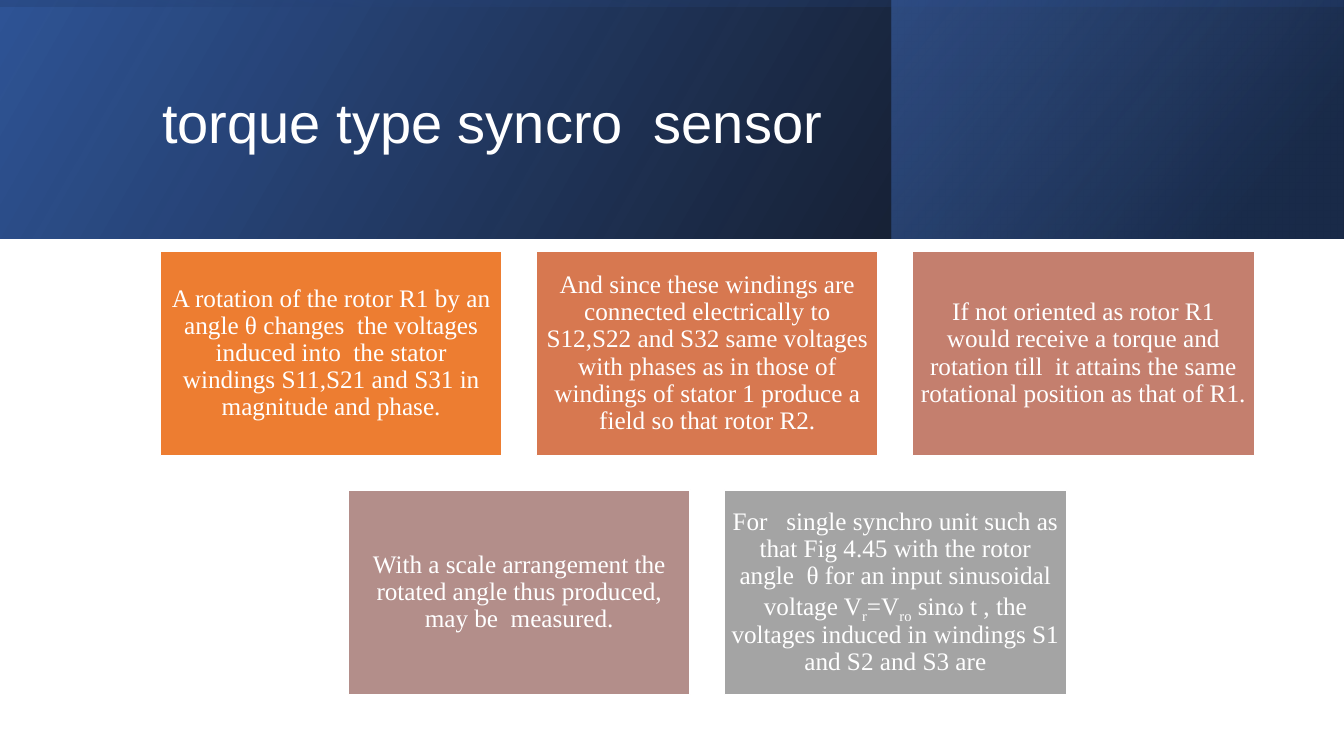
"""Build the torque type synchro sensor slide."""
from dataclasses import dataclass

from lxml import etree
from pptx import Presentation
from pptx.dml.color import RGBColor
from pptx.enum.shapes import MSO_SHAPE
from pptx.enum.text import MSO_ANCHOR, MSO_AUTO_SIZE, PP_ALIGN
from pptx.oxml.ns import qn
from pptx.util import Inches, Pt

RECTANGLE = MSO_SHAPE.RECTANGLE
MIDDLE = MSO_ANCHOR.MIDDLE
NO_AUTOFIT = MSO_AUTO_SIZE.NONE
LEFT, CENTER = PP_ALIGN.LEFT, PP_ALIGN.CENTER
TITLE_ONLY = 5


@dataclass(frozen=True)
class Theme:
    white: str = "FFFFFF"
    black: str = "000000"
    navy: str = "1F3864"
    deep_blue: str = "2F5496"
    blue: str = "4472C4"
    cards: tuple = ("ED7D31", "D77850", "C47F6E", "B38E8A", "A4A4A4")
    title_font: str = "Arial"
    card_font: str = "Times New Roman"
    title_size: int = 40
    card_size: int = 18


THEME = Theme()

BANDS = [
    ((0, 0, 13.33, 2.37), 0, 330,
     [(0, THEME.black, 95), (100, THEME.deep_blue, 100)]),
    ((8.84, 0, 4.48, 2.37), 0, 320,
     [(0, THEME.navy, 67), (19, THEME.navy, 67), (100, THEME.blue, 47)]),
    ((5.48, -5.48, 2.37, 13.33), 270, 350,
     [(0, THEME.deep_blue, 15), (23, THEME.deep_blue, 15),
      (99, THEME.black, 44), (100, THEME.black, 44)]),
]

CARD_TEXTS = [
    ["A rotation of the rotor R1 by an angle θ changes  the voltages induced into  "
     "the stator windings S11,S21 and S31 in magnitude and phase."],
    ["And since these windings are connected electrically to S12,S22 and S32 same "
     "voltages with phases as in those of windings of stator 1 produce a field so "
     "that rotor R2."],
    ["If not oriented as rotor R1 would receive a torque and rotation till  it "
     "attains the same rotational position as that of R1."],
    ["With a scale arrangement the rotated angle thus produced, may be  measured."],
    ["For   single synchro unit such as that Fig 4.45 with the rotor angle  θ for "
     "an input sinusoidal voltage V", "r", "=V", "ro",
     " sinω t , the voltages induced in windings S1 and S2 and S3 are"],
]

COLUMNS = 3
CARD_WIDTH, CARD_HEIGHT = 3.39, 2.03
CARD_LEFT, CARD_TOP = 1.59, 2.49
COLUMN_STEP, ROW_STEP = 3.73, 2.37


def add_span(para, text, *, font, size, color, subscript=False):
    span = para.add_run()
    span.text = text
    span.font.name = font
    span.font.size = Pt(size)
    span.font.color.rgb = RGBColor.from_string(color)
    if subscript:
        span.font._element.set("baseline", "-25000")


class SlideBuilder:
    def __init__(self, page, theme):
        self.page = page
        self.theme = theme

    def rectangle(self, bounds):
        box = self.page.shapes.add_shape(RECTANGLE, *map(Inches, bounds))
        box.shadow.inherit = False
        return box

    def band(self, bounds, rotation, angle, stops):
        box = self.rectangle(bounds)
        box.rotation = rotation
        box.line.fill.background()
        box.fill.background()
        properties = box._element.spPr
        properties.find(qn("a:xfrm")).set("flipH", "1")
        gradient = etree.Element(qn("a:gradFill"), rotWithShape="1")
        stop_list = etree.SubElement(gradient, qn("a:gsLst"))
        for position, color, opacity in stops:
            stop = etree.SubElement(stop_list, qn("a:gs"), pos=str(position * 1000))
            tint = etree.SubElement(stop, qn("a:srgbClr"), val=color)
            etree.SubElement(tint, qn("a:alpha"), val=str(opacity * 1000))
        etree.SubElement(gradient, qn("a:lin"), ang=str(angle * 60000), scaled="0")
        properties.replace(properties.find(qn("a:noFill")), gradient)

    def paragraph(self, box, alignment, margins):
        frame = box.text_frame
        frame.word_wrap = True
        frame.auto_size = NO_AUTOFIT
        frame.vertical_anchor = MIDDLE
        frame.margin_left = frame.margin_right = Inches(margins[0])
        frame.margin_top = frame.margin_bottom = Inches(margins[1])
        para = frame.paragraphs[0]
        para.alignment = alignment
        para.line_spacing = 0.9
        para.space_before = Pt(0)
        return para

    def title(self, text, bounds):
        box = self.page.shapes.title
        box.left, box.top, box.width, box.height = map(Inches, bounds)
        para = self.paragraph(box, LEFT, (0.1, 0.05))
        add_span(para, text, font=self.theme.title_font,
                 size=self.theme.title_size, color=self.theme.white)
        self.page.shapes._spTree.append(box._element)

    def card(self, pieces, bounds, color):
        box = self.rectangle(bounds)
        box.fill.solid()
        box.fill.fore_color.rgb = RGBColor.from_string(color)
        box.line.color.rgb = RGBColor.from_string(self.theme.white)
        box.line.width = Pt(1)
        para = self.paragraph(box, CENTER, (0.07, 0.07))
        for index, piece in enumerate(pieces):
            add_span(para, piece, font=self.theme.card_font,
                     size=self.theme.card_size, color=self.theme.white,
                     subscript=index % 2 == 1)


def main():
    deck = Presentation()
    deck.slide_width, deck.slide_height = Inches(13.33), Inches(7.5)
    page = deck.slides.add_slide(deck.slide_layouts[TITLE_ONLY])
    builder = SlideBuilder(page, THEME)
    for band in BANDS:
        builder.band(*band)
    builder.title("torque type syncro  sensor", (1.51, 0.38, 10.63, 1.72))
    for index, (pieces, color) in enumerate(zip(CARD_TEXTS, THEME.cards)):
        row, column = divmod(index, COLUMNS)
        row_length = min(COLUMNS, len(CARD_TEXTS) - row * COLUMNS)
        indent = (COLUMNS - row_length) * COLUMN_STEP / 2
        left = CARD_LEFT + indent + column * COLUMN_STEP
        top = CARD_TOP + row * ROW_STEP
        builder.card(pieces, (left, top, CARD_WIDTH, CARD_HEIGHT), color)
    deck.save("out.pptx")


if __name__ == "__main__":
    main()
